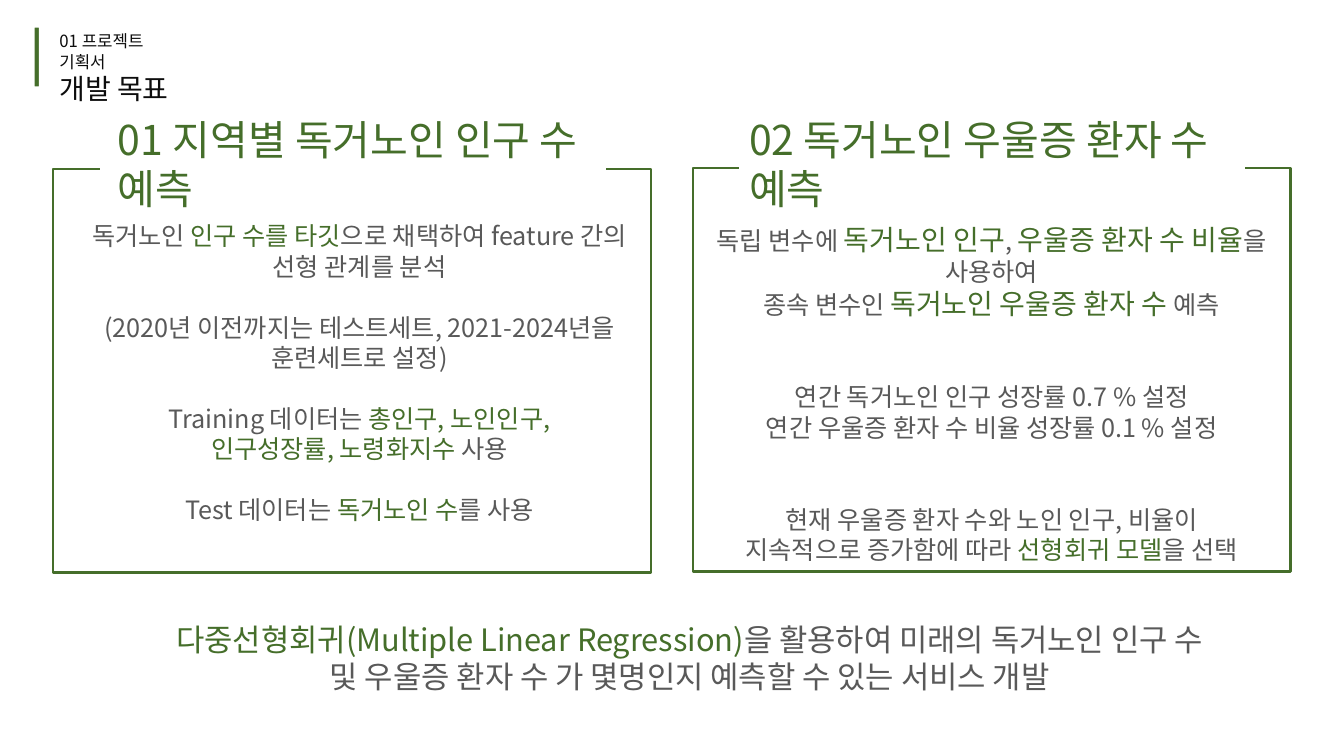
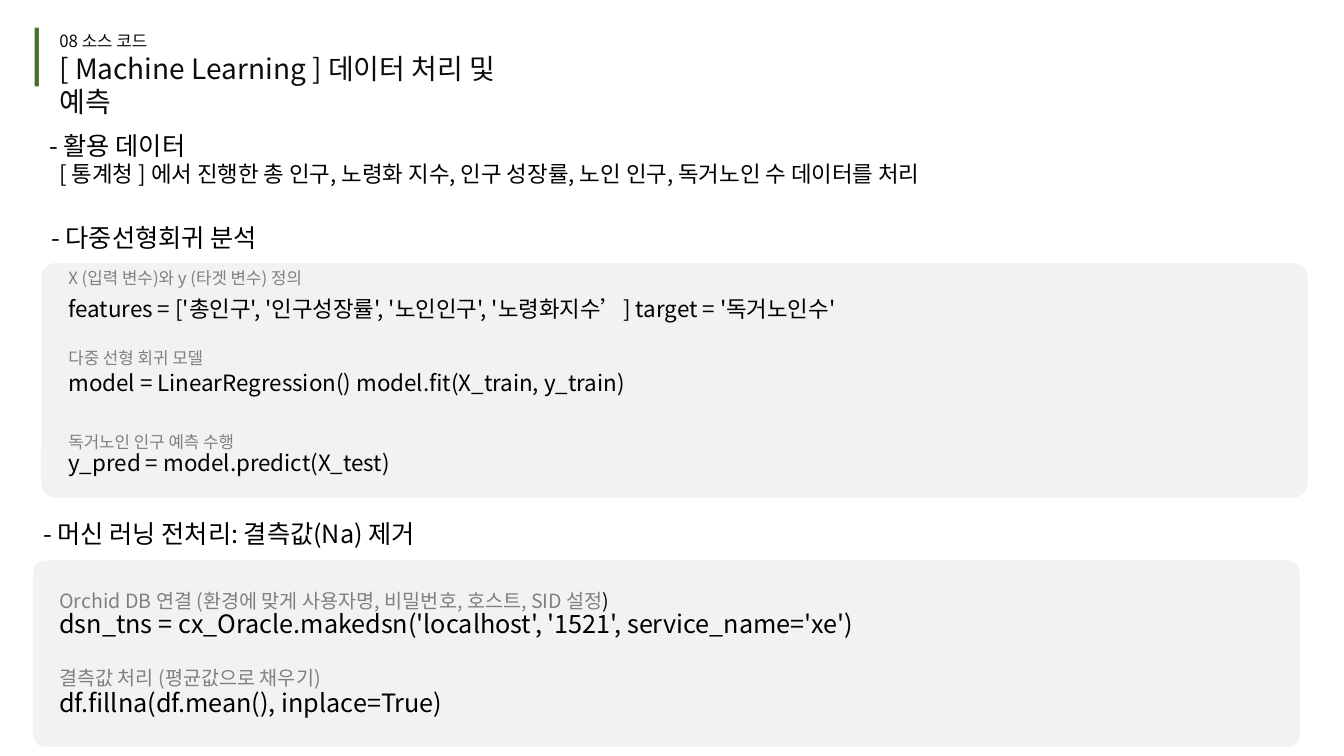
from lxml import etree
from pptx import Presentation
from pptx.dml.color import RGBColor
from pptx.enum import shapes, text
from pptx.oxml.ns import qn
from pptx.util import Inches, Pt

FONT = "Noto Sans CJK KR"
GREEN, GRAY, PALE, COMMENT = "456E2A", "595959", "F2F2F2", "808080"
WHITE, BLACK, TITLE = "FFFFFF", "000000", "0D0D0D"
LEFT, CENTER = text.PP_ALIGN.LEFT, text.PP_ALIGN.CENTER

HEADERS = [
    ("01 프로젝트 기획서", "개발 목표", 1.35),
    ("08 소스 코드", "[ Machine Learning ] 데이터 처리 및 예측", 4.72),
]

GOALS = [
    {
        "frame": (0.53, 1.68), "heading_left": 1.17, "body": (0.66, 2.14),
        "heading": "01 지역별 독거노인 인구 수 예측",
        "gap": 22, "accent": 18,
        "groups": [
            [["독거노인 ", "*인구 수를 타깃", "으로 채택하여 feature 간의"],
             ["선형 관계를 분석"]],
            [["(2020년 이전까지는 테스트세트, 2021-2024년을 훈련세트로 설정)"]],
            [["Training 데이터는 ", "*총인구, 노인인구,"],
             ["*인구성장률, 노령화지수 ", "사용"]],
            [["Test 데이터는 ", "*독거노인 수", "를 사용"]],
        ],
    },
    {
        "frame": (6.87, 1.67), "heading_left": 7.43, "body": (6.93, 2.16),
        "heading": "02 독거노인 우울증 환자 수 예측",
        "gap": 44, "accent": 20,
        "groups": [
            [["독립 변수에 ", "*독거노인 인구", ", ", "*우울증 환자 수 비율", "을 사용하여"],
             ["종속 변수인 ", "*독거노인 우울증 환자 수 ", "예측"]],
            [["연간 독거노인 인구 성장률 0.7 % 설정"],
             ["연간 우울증 환자 수 비율 성장률 0.1 % 설정"]],
            [["현재 우울증 환자 수와 노인 인구, 비율이"],
             ["지속적으로 증가함에 따라 ", ("선형회귀 모델", 18, GREEN), "을 선택"]],
        ],
    },
]

SUMMARY = [
    ["*다중선형회귀(Multiple Linear Regression)", "을 활용하여 미래의 독거노인 인구 수"],
    ["및 우울증 환자 수 가 몇명인지 예측할 수 있는 서비스 개발"],
]

DATA_TITLE = "- 활용 데이터"
DATA_NOTE = "[ 통계청 ] 에서 진행한 총 인구, 노령화 지수, 인구 성장률, 노인 인구, 독거노인 수 데이터를 처리"

CODE_PANELS = [
    {
        "title": "- 다중선형회귀 분석", "title_top": 2.16,
        "panel": (0.41, 2.61, 12.56, 2.33), "text_left": 0.58, "sizes": (12, 16),
        "snippets": [
            (2.61, [("X (입력 변수)와 y (타겟 변수) 정의", COMMENT)], 2.88,
             "features = ['총인구', '인구성장률', '노인인구', '노령화지수’] target = '독거노인수'"),
            (3.40, [("다중 선형 회귀 모델", COMMENT)], 3.61,
             "model = LinearRegression() model.fit(X_train, y_train)"),
            (4.23, [("독거노인 인구 예측 수행", COMMENT)], 4.41,
             "y_pred = model.predict(X_test)"),
        ],
    },
    {
        "title": "- 머신 러닝 전처리: 결측값(Na) 제거", "title_top": 5.09,
        "panel": (0.33, 5.56, 12.56, 1.85), "text_left": 0.49, "sizes": (14, 18),
        "snippets": [
            (5.79, [("Orchid DB 연결 (환경에 맞게 사용자명, 비밀번호, 호스트, SID 설정", COMMENT),
                    (")", BLACK)], 5.99,
             "dsn_tns = cx_Oracle.makedsn('localhost', '1521', service_name='xe')"),
            (6.56, [("결측값 처리 (평균값으로 채우기)", COMMENT)], 6.77,
             "df.fillna(df.mean(), inplace=True)"),
        ],
    },
]


def color(value):
    return RGBColor.from_string(value)


def add_box(slide, kind, at, fill=None, line=None, width=1.5, radius=None):
    box = slide.shapes.add_shape(kind, *map(Inches, at))
    box.shadow.inherit = False
    if fill:
        box.fill.solid()
        box.fill.fore_color.rgb = color(fill)
    else:
        box.fill.background()
    if line:
        box.line.color.rgb = color(line)
        box.line.width = Pt(width)
    else:
        box.line.fill.background()
    if radius is not None:
        box.adjustments[0] = radius


def add_text(slide, at, paragraphs, align=LEFT, inset=True, middle=False):
    frame = slide.shapes.add_textbox(*map(Inches, at)).text_frame
    frame.word_wrap = True
    if not inset:
        frame.margin_left = frame.margin_right = frame.margin_top = frame.margin_bottom = 0
    if middle:
        frame.vertical_anchor = text.MSO_ANCHOR.MIDDLE
    for index, (before, runs) in enumerate(paragraphs):
        paragraph = frame.paragraphs[0] if index == 0 else frame.add_paragraph()
        paragraph.alignment = align
        paragraph.space_before = Pt(before)
        for words, size, shade in runs:
            run = paragraph.add_run()
            run.text = words
            run.font.size = Pt(size)
            run.font.name = FONT
            run.font.color.rgb = color(shade)
            etree.SubElement(run.font._element, qn("a:ea"), typeface=FONT)
    return frame


def add_line(slide, at, words, size, shade=BLACK):
    return add_text(slide, at, [(0, [(words, size, shade)])])


def emphasize(pieces, size, accent):
    return [piece if isinstance(piece, tuple)
            else (piece[1:], accent, GREEN) if piece.startswith("*")
            else (piece, size, GRAY) for piece in pieces]


def add_page(deck, section, title, width):
    slide = deck.slides.add_slide(deck.slide_layouts[6])
    add_box(slide, shapes.MSO_SHAPE.ROUNDED_RECTANGLE, (0.33, 0.26, 0.07, 0.61), GREEN, WHITE, 2)
    add_text(slide, (0.49, 0.26, width, 0.64),
             [(0, [(section, 12, TITLE)]), (0, [(title, 20, TITLE)])])
    return slide


def add_goal(slide, goal):
    left, top = goal["frame"]
    add_box(slide, shapes.MSO_SHAPE.RECTANGLE, (left, top, 5.93, 4), line=GREEN)
    add_box(slide, shapes.MSO_SHAPE.RECTANGLE, (left + 0.47, 1.37, 5, 0.81), WHITE, WHITE)
    add_text(slide, (goal["heading_left"], 1.24, 4.65, 0.77),
             [(0, [(goal["heading"], 29.3, GREEN)])], inset=False, middle=True)
    paragraphs = [
        (goal["gap"] if group_index and not line_index else 0,
         emphasize(pieces, 18, goal["accent"]))
        for group_index, group in enumerate(goal["groups"])
        for line_index, pieces in enumerate(group)
    ]
    add_text(slide, (*goal["body"], 5.81, 3.45), paragraphs, CENTER)


def add_code(slide, code):
    left = code["panel"][0]
    add_line(slide, (left, code["title_top"], 11.15, 0.4), code["title"], 18)
    add_box(slide, shapes.MSO_SHAPE.ROUNDED_RECTANGLE, code["panel"], PALE, radius=0.063)
    comment_size, code_size = code["sizes"]
    for comment_top, comment, code_top, statement in code["snippets"]:
        add_text(slide, (code["text_left"], comment_top, 11.2, 0.3),
                 [(0, [(words, comment_size, shade) for words, shade in comment])])
        add_line(slide, (code["text_left"], code_top, 11.2, 0.4), statement, code_size)


def main():
    deck = Presentation()
    deck.slide_width, deck.slide_height = Inches(13.33), Inches(7.5)
    goals_page, code_page = [add_page(deck, *header) for header in HEADERS]

    for goal in GOALS:
        add_goal(goals_page, goal)
    add_text(goals_page, (1.17, 6.16, 11.34, 1.12),
             [(0, emphasize(pieces, 22, 22)) for pieces in SUMMARY], CENTER, inset=False)

    data = add_text(code_page, (0.39, 1.24, 11.15, 0.67),
                    [(0, [(DATA_TITLE, 18, BLACK)]), (0, [(DATA_NOTE, 16, BLACK)])])
    data.paragraphs[1]._p.get_or_add_pPr().set("marL", str(Inches(0.1)))
    for code in CODE_PANELS:
        add_code(code_page, code)

    deck.save("out.pptx")


if __name__ == "__main__":
    main()
